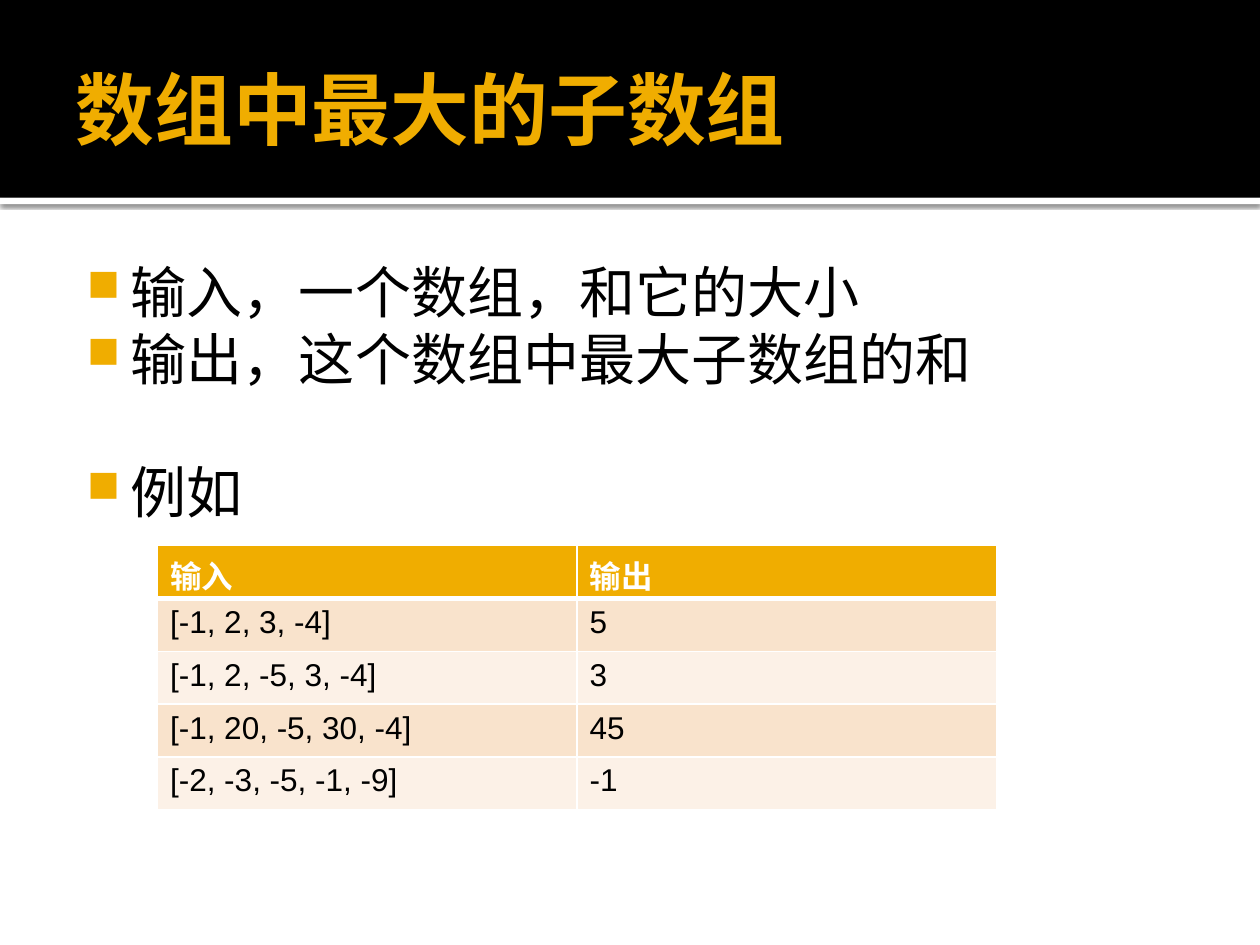
from lxml.etree import SubElement
from pptx import Presentation
from pptx.dml.color import RGBColor
from pptx.enum.shapes import MSO_SHAPE as Shape
from pptx.enum.text import MSO_ANCHOR as Anchor, MSO_AUTO_SIZE as AutoSize, PP_ALIGN as Align
from pptx.oxml import parse_xml
from pptx.oxml.ns import nsdecls, qn
from pptx.util import Pt

PX = 9144  # 100 px to the inch
COLORS = {"gold": "F0AD00", "black": "000000", "white": "FFFFFF",
          "band_dark": "F9E3CC", "band_light": "FCF1E7"}


def color(name):
    return RGBColor.from_string(COLORS[name])


def style(font, name, size, color_name, bold=False):
    font.name, font.size, font.bold = name, Pt(size), bold
    font.color.rgb = color(color_name)


deck = Presentation()
deck.slide_width, deck.slide_height = 1000 * PX, 750 * PX
page = deck.slides.add_slide(deck.slide_layouts[5])

# Header bands, placed behind the title
bands = []
for top, height, fill in [(157, 5, "white"), (0, 157, "black")]:
    band = page.shapes.add_shape(Shape.RECTANGLE, 0, top * PX, 1000 * PX, height * PX)
    band.shadow.inherit = False
    band.fill.solid()
    band.fill.fore_color.rgb = color(fill)
    band.line.fill.background()
    bands.append(band)
for index, band in enumerate(bands):
    page.shapes._spTree.insert(2 + index, band._element)
bands[0]._element.spPr.find(qn("a:effectLst")).append(parse_xml(
    f'<a:outerShdw {nsdecls("a")} blurRad="{Pt(2.5)}" dist="{Pt(0.8)}" dir="5400000" '
    f'algn="tl" rotWithShape="0"><a:srgbClr val="{COLORS["black"]}">'
    '<a:alpha val="60000"/></a:srgbClr></a:outerShdw>'))

# Title
title = page.shapes.title
title.left, title.top, title.width, title.height = 50 * PX, 17 * PX, 900 * PX, 137 * PX
frame = title.text_frame
frame.text = "数组中最大的子数组"
frame.auto_size = AutoSize.NONE
frame.vertical_anchor = Anchor.MIDDLE
frame.margin_left = 10 * PX
frame.margin_top = frame.margin_right = frame.margin_bottom = 5 * PX
para = frame.paragraphs[0]
para.alignment = Align.LEFT
style(para.runs[0].font, "Cabin", 45, "gold", bold=True)

# Bulleted points
points = page.shapes.add_textbox(50 * PX, 194 * PX, 900 * PX, 506 * PX)
frame = points.text_frame
frame.word_wrap = True
frame.margin_left, frame.margin_top = 6 * PX, 10 * PX
frame.margin_right, frame.margin_bottom = 10 * PX, 5 * PX
frame.text = "输入，一个数组，和它的大小\n输出，这个数组中最大子数组的和\n例如"
for para in frame.paragraphs:
    props = para._p.get_or_add_pPr()
    props.set("marL", str(48 * PX))
    props.set("indent", str(-35 * PX))
    bullet_color = SubElement(props, qn("a:buClr"))
    SubElement(bullet_color, qn("a:srgbClr"), val=COLORS["gold"])
    SubElement(props, qn("a:buSzPct"), val="80000")
    SubElement(props, qn("a:buChar"), char="■")
    style(para.runs[0].font, "Cabin", 32, "black")
frame.paragraphs[-1].space_before = Pt(38)

# Example table
rows = [("输入", "输出"),
        ("[-1, 2, 3, -4]", "5"),
        ("[-1, 2, -5, 3, -4]", "3"),
        ("[-1, 20, -5, 30, -4]", "45"),
        ("[-2, -3, -5, -1, -9]", "-1")]
table = page.shapes.add_table(len(rows), 2, 125 * PX, 433 * PX, 666 * PX, 210 * PX).table
for row_index, row in enumerate(rows):
    header = row_index == 0
    fill = "gold" if header else "band_dark" if row_index % 2 else "band_light"
    for column_index, text in enumerate(row):
        cell = table.cell(row_index, column_index)
        cell.text = text
        style(cell.text_frame.paragraphs[0].runs[0].font, "Arial", 18,
              "white" if header else "black", bold=header)
        props = cell._tc.get_or_add_tcPr()
        for side in "LRTB":
            thick = (header and side == "B") or (row_index == 1 and side == "T")
            border = SubElement(props, qn(f"a:ln{side}"), w=str(Pt(3 if thick else 1)))
            line_fill = SubElement(border, qn("a:solidFill"))
            SubElement(line_fill, qn("a:srgbClr"), val=COLORS["white"])
        cell.fill.solid()
        cell.fill.fore_color.rgb = color(fill)

deck.save("out.pptx")
